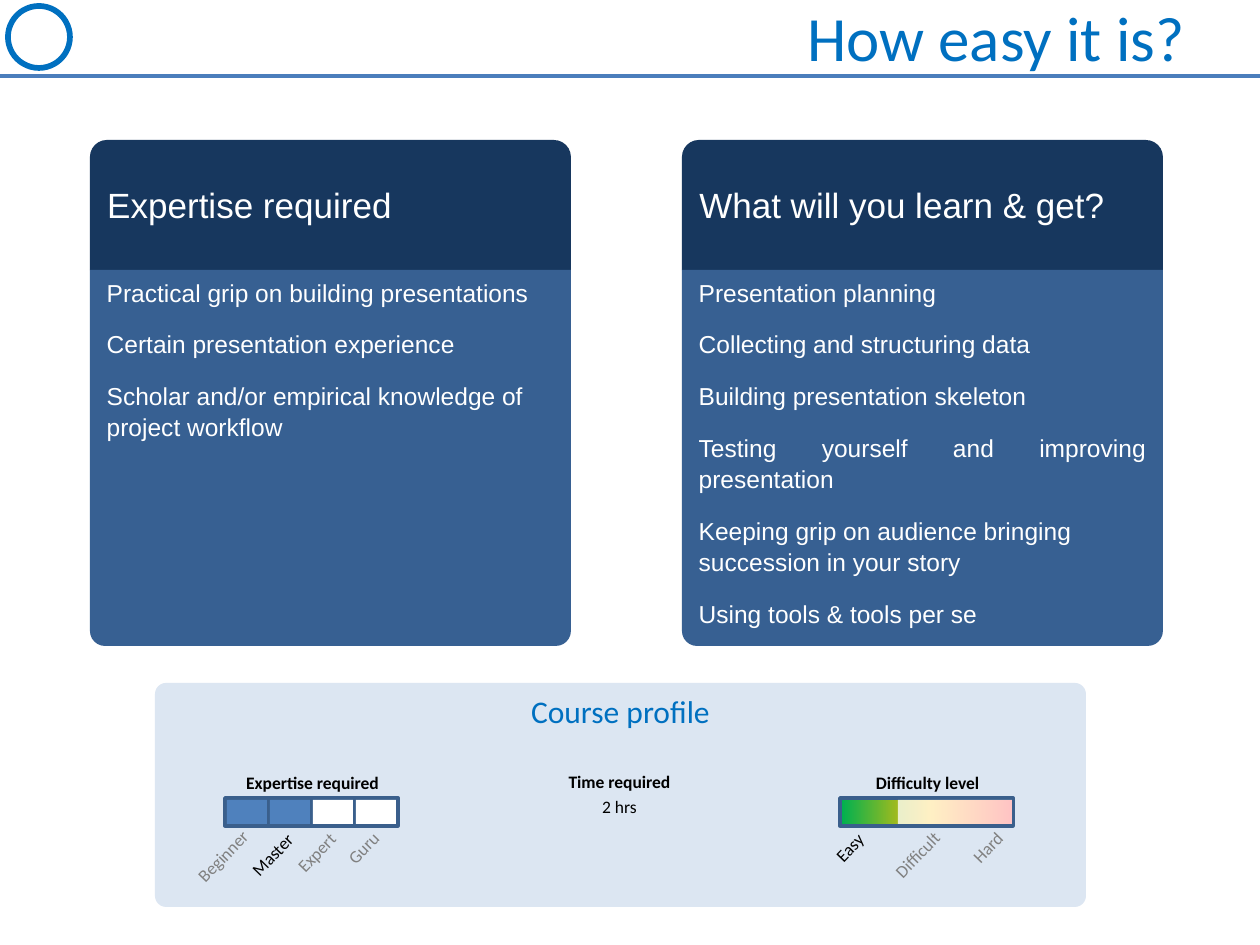
from copy import deepcopy

from lxml.etree import SubElement
from pptx import Presentation
from pptx.dml.color import RGBColor
from pptx.enum.shapes import MSO_CONNECTOR as Connector, MSO_SHAPE as Shape
from pptx.enum.text import MSO_ANCHOR as Anchor, PP_ALIGN as Align
from pptx.oxml.ns import qn
from pptx.util import Pt

PX = 914400 / 126
BLUE = RGBColor(0x00, 0x70, 0xC0)
RULE = RGBColor(0x4B, 0x7E, 0xBC)
NAVY = RGBColor(0x17, 0x37, 0x5E)
STEEL = RGBColor(0x37, 0x60, 0x92)
PALE = RGBColor(0xDC, 0xE6, 0xF2)
FRAME = RGBColor(0x3A, 0x5F, 0x8C)
CELL = RGBColor(0x4F, 0x81, 0xBD)
GREY = RGBColor(0x80, 0x80, 0x80)
BLACK = RGBColor(0, 0, 0)
WHITE = RGBColor(0xFF, 0xFF, 0xFF)
GRADIENT = [(0, RGBColor(0x00, 0xB0, 0x50)),
            (0.52, RGBColor(0xFF, 0xC0, 0x00)),
            (1, RGBColor(0xFF, 0x00, 0x00))]

REQUIREMENTS = [
    ("Practical grip on building presentations", Align.JUSTIFY),
    ("Certain presentation experience", Align.JUSTIFY),
    ("Scholar and/or empirical knowledge of project workflow", Align.LEFT),
]
OUTCOMES = [
    ("Presentation planning", Align.JUSTIFY),
    ("Collecting and structuring data", Align.JUSTIFY),
    ("Building presentation skeleton", Align.JUSTIFY),
    ("Testing yourself and improving presentation", Align.JUSTIFY),
    ("Keeping grip on audience bringing succession in your story", Align.LEFT),
    ("Using tools & tools per se", Align.JUSTIFY),
]
# Tilted labels: text, centre x, centre y, width, colour
LEVELS = [("Beginner", -2, 58, 89, GREY), ("Master", 48, 56, 77, BLACK),
          ("Expert", 92, 54, 72, GREY), ("Guru", 139, 49, 62, GREY)]
DIFFICULTIES = [("Easy", 10, 49, 57, BLACK), ("Difficult", 78, 56, 82, GREY),
                ("Hard", 148, 49, 60, GREY)]


def emu(*lengths):
    return [round(length * PX) for length in lengths]


def add_shape(slide, kind, box, fill=None, line=None, width=2, adjustments=()):
    shape = slide.shapes.add_shape(kind, *emu(*box))
    shape.shadow.inherit = False
    for index, value in enumerate(adjustments):
        shape.adjustments[index] = value
    if fill is None:
        shape.fill.background()
    else:
        shape.fill.solid()
        shape.fill.fore_color.rgb = fill
    if line is None:
        shape.line.fill.background()
    else:
        shape.line.color.rgb = line
        shape.line.width = Pt(width)
    return shape


def write(paragraph, text, size, color, align, font="Calibri", bold=False):
    paragraph.text = text
    paragraph.alignment = align
    run_font = paragraph.runs[0].font
    run_font.name = font
    run_font.size = Pt(size)
    run_font.bold = bold
    run_font.color.rgb = color


def add_text(slide, box, text, size, color, align=Align.CENTER, bold=False, wrap=True):
    shape = slide.shapes.add_textbox(*emu(*box))
    shape.text_frame.word_wrap = wrap
    write(shape.text_frame.paragraphs[0], text, size, color, align, bold=bold)
    return shape


def add_header(slide, left, top, width, height):
    rule = slide.shapes.add_connector(
        Connector.STRAIGHT, *emu(left, top + height, left + width, top + height))
    rule.line.color.rgb = RULE
    rule.line.width = Pt(2.25)
    SubElement(rule._element.spPr, qn("a:effectLst"))
    add_shape(slide, Shape.OVAL, (left + 8, top + 6, 62, 62), line=BLUE, width=3.25)
    title = add_text(slide, (left + 63, top - 4, width - 126, height + 4),
                     "How easy it is?", 36, BLUE, Align.RIGHT)
    title.text_frame.vertical_anchor = Anchor.MIDDLE


def add_card(slide, left, top, width, height, heading, items):
    head_height = 130
    head = add_shape(slide, Shape.ROUND_2_SAME_RECTANGLE,
                     (left, top, width, head_height), NAVY, adjustments=(0.13, 0))
    frame = head.text_frame
    frame.margin_top = 0
    frame.vertical_anchor = Anchor.MIDDLE
    write(frame.paragraphs[0], heading, 20, WHITE, Align.JUSTIFY, "Arial")

    body = add_shape(slide, Shape.ROUND_2_SAME_RECTANGLE,
                     (left, top + head_height, width, height - head_height),
                     STEEL, adjustments=(0, 0.04))
    frame = body.text_frame
    frame.vertical_anchor = Anchor.TOP
    for index, (text, align) in enumerate(items):
        paragraph = frame.add_paragraph() if index else frame.paragraphs[0]
        write(paragraph, text, 14, WHITE, align, "Arial")
        paragraph.space_before = Pt(12)
        paragraph.line_spacing = 1.05


def add_scale_labels(slide, left, top, heading, labels):
    add_text(slide, (left + 2, top - 32, 171, 34), heading, 10, BLACK, bold=True)
    for text, x, y, width, color in labels:
        label = add_text(slide, (left + x - width / 2, top + y - 17, width, 34),
                         text, 10, color, Align.LEFT, wrap=False)
        label.rotation = 314.1


def add_expertise_scale(slide, left, top, reached):
    step = 43
    for index in range(len(LEVELS)):
        x = left + index * step
        add_shape(slide, Shape.RECTANGLE, (x, top, step + 1, 28), line=FRAME)
    for index in range(len(LEVELS)):
        x = left + index * step
        add_shape(slide, Shape.RECTANGLE, (x + 2, top + 2, 40, 24),
                  CELL if index < reached else WHITE)
    add_scale_labels(slide, left, top, "Expertise required", LEVELS)


def add_difficulty_scale(slide, left, top):
    add_shape(slide, Shape.RECTANGLE, (left, top, 173, 28), line=FRAME)
    bar = add_shape(slide, Shape.RECTANGLE, (left + 2, top + 2, 170, 24))
    bar.fill.gradient()
    bar.fill.gradient_angle = 0
    stop_list = bar._element.spPr.find(qn("a:gradFill")).find(qn("a:gsLst"))
    stop_list.append(deepcopy(stop_list[0]))
    for stop, (position, color) in zip(bar.fill.gradient_stops, GRADIENT):
        stop.position = position
        stop.color.rgb = color

    veil = add_shape(slide, Shape.RECTANGLE, (left + 58, top + 2, 114, 24), WHITE)
    color = veil._element.spPr.find(qn("a:solidFill"))[0]
    SubElement(color, qn("a:alpha"), val="77000")
    add_scale_labels(slide, left, top, "Difficulty level", DIFFICULTIES)


def add_profile(slide, left, top, width, height):
    panel = add_shape(slide, Shape.ROUNDED_RECTANGLE, (left, top, width, height),
                      PALE, adjustments=(0.05,))
    panel.text_frame.vertical_anchor = Anchor.TOP
    write(panel.text_frame.paragraphs[0], "Course profile", 18, BLUE, Align.CENTER)
    add_expertise_scale(slide, left + 70, top + 115, reached=2)
    add_difficulty_scale(slide, left + 685, top + 115)
    add_text(slide, (left + 395, top + 82, 139, 34), "Time required", 10, BLACK, bold=True)
    add_text(slide, (left + 420, top + 107, 89, 34), "2 hrs", 10, BLACK)


def main():
    presentation = Presentation()
    presentation.slide_width, presentation.slide_height = emu(1260, 945)
    slide = presentation.slides.add_slide(presentation.slide_layouts[6])
    add_header(slide, 0, 0, 1260, 76)
    add_card(slide, 90, 140, 481, 506, "Expertise required", REQUIREMENTS)
    add_card(slide, 682, 140, 481, 506, "What will you learn & get?", OUTCOMES)
    add_profile(slide, 155, 683, 931, 224)
    presentation.save("out.pptx")


if __name__ == "__main__":
    main()
